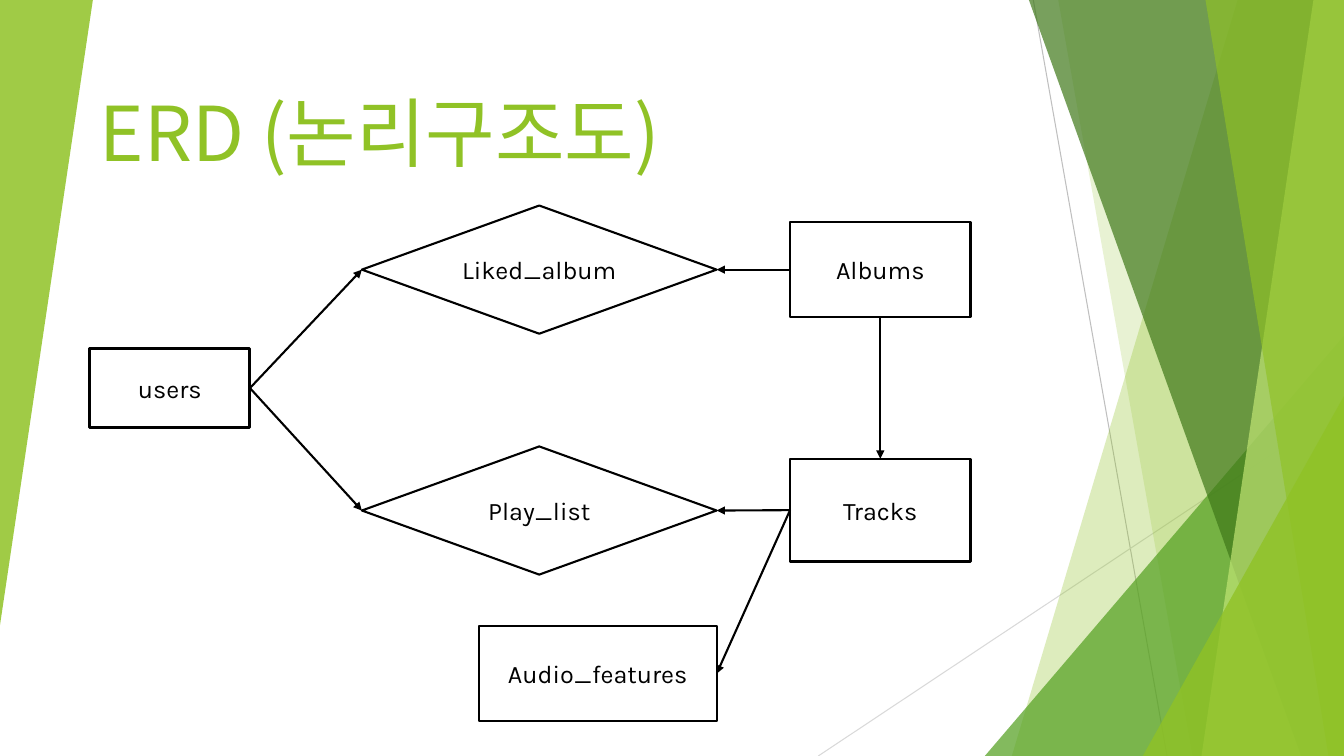
from lxml import etree
from pptx import Presentation
from pptx.dml.color import RGBColor
from pptx.enum import shapes, text
from pptx.oxml.ns import qn
from pptx.util import Cm, Pt

LIME = RGBColor(0x90, 0xC2, 0x26)
GREEN = RGBColor(0x54, 0xA0, 0x21)
DARK_GREEN = RGBColor(0x3F, 0x78, 0x19)
PALE_LIME = RGBColor(0xC0, 0xE4, 0x74)
GRAY = RGBColor(0xBF, 0xBF, 0xBF)
LIGHT_GRAY = RGBColor(0xD9, 0xD9, 0xD9)
WHITE = RGBColor(0xFF, 0xFF, 0xFF)
BLACK = RGBColor(0, 0, 0)

W, H = 33.87, 19.05
TRIANGLE = shapes.MSO_SHAPE.RIGHT_TRIANGLE
RECT = shapes.MSO_SHAPE.RECTANGLE
DIAMOND = shapes.MSO_SHAPE.DIAMOND
TOP, LEFT, BOTTOM, RIGHT = range(4)  # connection sites

prs = Presentation()
prs.slide_width, prs.slide_height = Cm(W), Cm(H)
s = prs.slides.add_slide(prs.slide_layouts[6])


def write(sp, content, font="Karla", size=18, color=BLACK,
          align=text.PP_ALIGN.CENTER, anchor=text.MSO_ANCHOR.MIDDLE):
    tf = sp.text_frame
    tf.word_wrap = True
    tf.vertical_anchor = anchor
    p = tf.paragraphs[0]
    p.alignment = align
    r = p.add_run()
    r.text = content
    r.font.name, r.font.size, r.font.color.rgb = font, Pt(size), color
    etree.SubElement(r.font._element, qn("a:ea"), typeface=font)


def add_line(x1, y1, x2, y2, color=BLACK, width=1.5):
    sp = s.shapes.add_connector(shapes.MSO_CONNECTOR.STRAIGHT,
                                Cm(x1), Cm(y1), Cm(x2), Cm(y2))
    sp.line.color.rgb, sp.line.width = color, Pt(width)
    etree.SubElement(sp._element.spPr, qn("a:effectLst"))
    return sp


# Decorative background
add_line(26.04, 0, 29.41, H, GRAY, 0.75)
add_line(W, 10.24, 20.62, H, LIGHT_GRAY, 0.75)

# Bands reach the right edge: (top-left x, bottom-left x)
# Triangles: (left, top, width, height, rotation)
for geometry, color, opacity in [
    ((31.19, 25.5), LIME, 30),
    ((26.67, 30.05), LIME, 20),
    ((24.82, 8.46, 9.05, 10.59, 0), GREEN, 72),
    ((25.93, 32.79), DARK_GREEN, 70),
    ((33.1, 30.28), PALE_LIME, 70),
    ((30.38, 33.48), LIME, 65),
    ((28.8, 9.98, 5.07, 9.07, 0), LIME, 80),
    ((0, 0, 2.34, 15.75, 180), LIME, 85),
]:
    if len(geometry) == 2:
        top_x, bottom_x = geometry
        fb = s.shapes.build_freeform(Cm(top_x), 0)
        fb.add_line_segments([(Cm(W), 0), (Cm(W), Cm(H)), (Cm(bottom_x), Cm(H))])
        sp = fb.convert_to_shape()
    else:
        *box, rotation = geometry
        sp = s.shapes.add_shape(shapes.MSO_SHAPE.ISOSCELES_TRIANGLE, *map(Cm, box))
        sp.adjustments[0] = 1
        sp.rotation = rotation
    sp.shadow.inherit = False
    sp.line.fill.background()
    sp.fill.solid()
    sp.fill.fore_color.rgb = color
    clr = sp._element.spPr.find(qn("a:solidFill"))[0]
    etree.SubElement(clr, qn("a:alpha"), val=str(opacity * 1000))

# Entities and relationships
nodes = {}
for name, kind, box, width in [
    ("users", RECT, (2.26, 8.79, 4.04, 1.98), 2.25),
    ("Albums", RECT, (19.91, 5.59, 4.55, 2.41), 1.5),
    ("Liked_album", DIAMOND, (9.12, 5.18, 8.94, 3.23), 1.5),
    ("Tracks", RECT, (19.91, 11.56, 4.55, 2.59), 1.5),
    ("Play_list", DIAMOND, (9.12, 11.25, 8.94, 3.23), 1.5),
    ("Audio_features", RECT, (12.07, 15.77, 5.99, 2.41), 1.5),
]:
    sp = s.shapes.add_shape(kind, *map(Cm, box))
    sp.shadow.inherit = False
    sp.fill.solid()
    sp.fill.fore_color.rgb = WHITE
    sp.line.color.rgb, sp.line.width = BLACK, Pt(width)
    write(sp, name)
    nodes[name] = sp

for start, start_site, end, end_site in [
    ("users", RIGHT, "Liked_album", LEFT),
    ("users", RIGHT, "Play_list", LEFT),
    ("Albums", LEFT, "Liked_album", RIGHT),
    ("Albums", BOTTOM, "Tracks", TOP),
    ("Tracks", LEFT, "Play_list", RIGHT),
    ("Tracks", LEFT, "Audio_features", RIGHT),
]:
    arrow = add_line(0, 0, 0, 0)
    arrow.begin_connect(nodes[start], start_site)
    arrow.end_connect(nodes[end], end_site)
    etree.SubElement(arrow.line._get_or_add_ln(), qn("a:tailEnd"), type="triangle")

title = s.shapes.add_textbox(Cm(2.26), Cm(0.91), Cm(23.88), Cm(3.66))
write(title, "ERD (논리구조도)", font="Noto Sans CJK KR", size=54, color=LIME,
      align=text.PP_ALIGN.LEFT, anchor=text.MSO_ANCHOR.BOTTOM)

prs.save("out.pptx")
